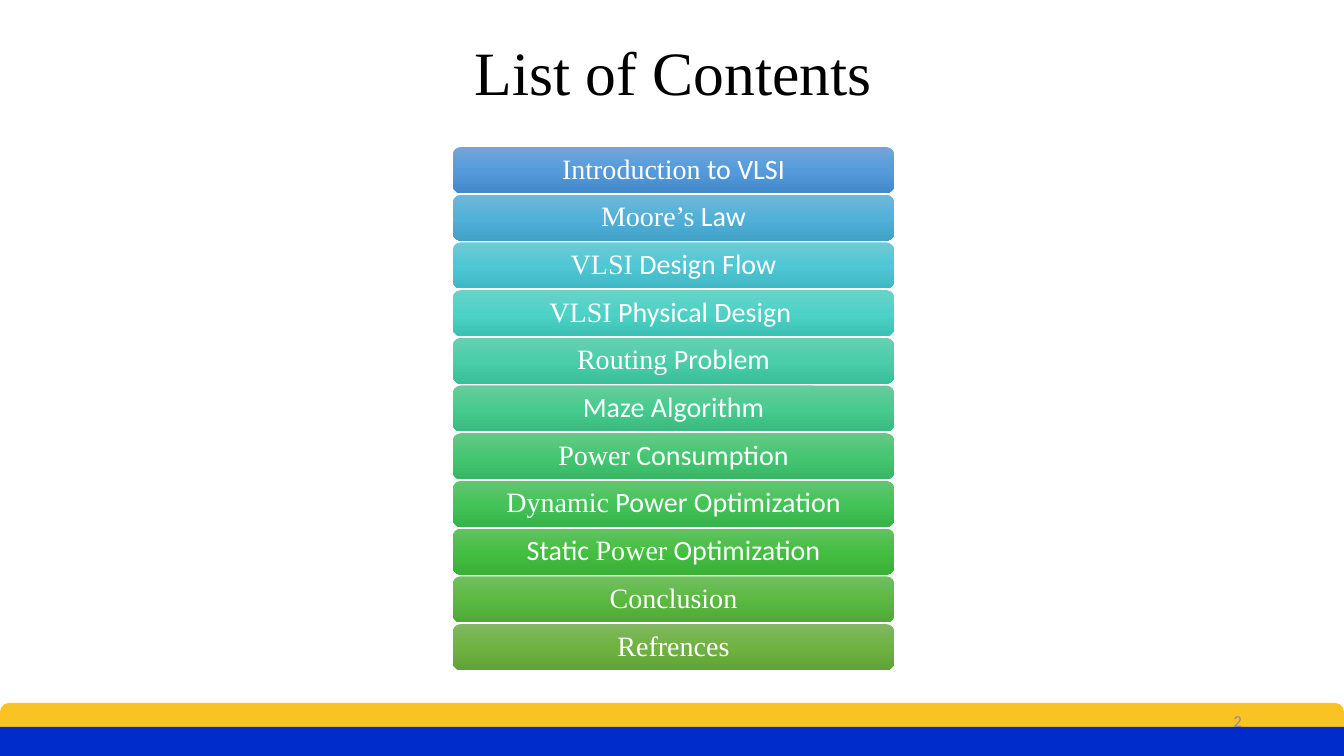
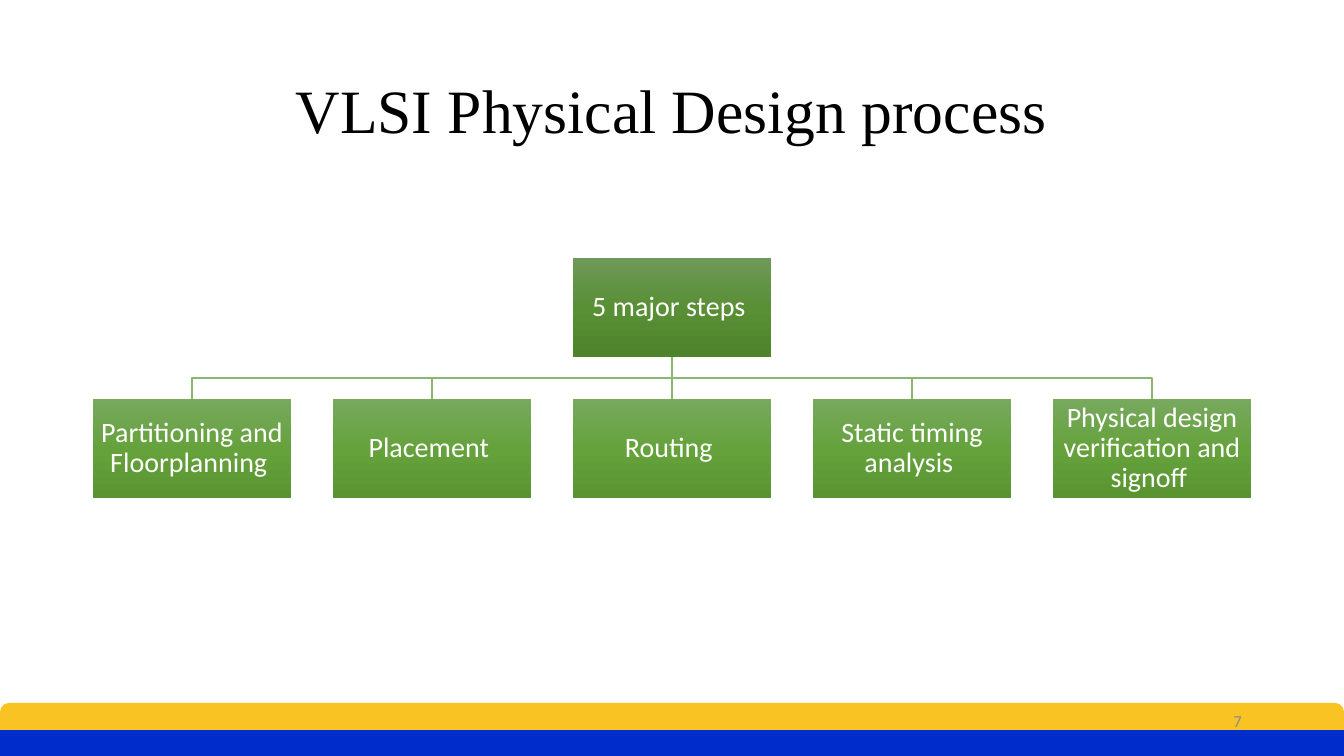
from copy import deepcopy
from itertools import cycle

from pptx import Presentation, util as u
from pptx.dml.color import RGBColor
from pptx.enum import shapes, text
from pptx.oxml import ns, xmlchemy

SCALE = 914400 / 100.8  # EMU in one px
WIDE, HIGH = 1344, 756
SERIF, SANS = "Times New Roman", "Calibri"
BLACK, WHITE, GREY = "000000", "FFFFFF", "8C8C8C"
GOLD, BLUE, LINK = "FAC324", "002CCB", "88B76F"
ROOT = ("6F9959", "598F35", "4E822B")
LEAF = ("78A95E", "65A23C", "599431")
RECT = shapes.MSO_SHAPE.RECTANGLE
ROUND = shapes.MSO_SHAPE.ROUNDED_RECTANGLE
CENTER, RIGHT = text.PP_ALIGN.CENTER, text.PP_ALIGN.RIGHT

# Each label alternates serif and sans runs, starting with serif
TOPICS = [
    (("Introduction", " to VLSI"), ("71A6DB", "559BDB", "448ACA")),
    (("Moore’s", " Law"), ("6FB8D8", "52B1D8", "42A1C7")),
    (("VLSI", " Design Flow"), ("6DCAD5", "4FC7D5", "3FB7C4")),
    (("VLSI", " Physical Design "), ("6BD2C8", "4CD2C6", "3DC1B5")),
    (("Routing", " Problem"), ("69CFB1", "4ACEAA", "3BBE9A")),
    (("", "Maze Algorithm"), ("67CC9A", "47CB8E", "39BB7F")),
    (("Power", " Consumption"), ("66C885", "45C772", "37B764")),
    (("Dynamic", " Power Optimization"), ("64C571", "43C358", "35B449")),
    (("", "Static ", "Power", " Optimization"), ("64C162", "44BF41", "37B034")),
    (("Conclusion",), ("72BE61", "5BB941", "4EA935")),
    (("Refrences",), ("81B861", "6FB242", "62A336")),
]
STEPS = ["Partitioning and Floorplanning ", "Placement ", "Routing ",
         "Static timing analysis ", "Physical design verification and signoff "]


def px(*nums):
    return [u.Emu(round(n * SCALE)) for n in nums]


def rgb(code):
    return RGBColor.from_string(code)


def style(item, look):
    for key, val in look.items():
        setattr(item, key, val)


def write(shape, runs, size, color, align=CENTER, inset=(10, 5), space=0.9):
    """Fill a shape with one paragraph of alternating serif and sans runs."""
    frame = shape.text_frame
    side, edge = px(*inset)
    style(frame, dict(word_wrap=True, auto_size=text.MSO_AUTO_SIZE.NONE,
                      vertical_anchor=text.MSO_ANCHOR.MIDDLE,
                      margin_left=side, margin_right=side,
                      margin_top=edge, margin_bottom=edge))
    para = frame.paragraphs[0]
    style(para, dict(alignment=align, line_spacing=space))
    for words, face in zip(runs, cycle((SERIF, SANS))):
        if words:
            run = para.add_run()
            run.text = words
            style(run.font, dict(name=face, size=u.Pt(size)))
            run.font.color.rgb = rgb(color)


def block(slide, kind, box, fill):
    """Add a borderless shape; fill is one colour or three gradient colours."""
    shape = slide.shapes.add_shape(kind, *px(*box))
    shape.shadow.inherit = False
    shape.line.fill.background()
    if isinstance(fill, str):
        shape.fill.solid()
        shape.fill.fore_color.rgb = rgb(fill)
        return shape
    shape.fill.gradient()
    shape.fill.gradient_angle = 270
    first = shape._element.spPr.find(".//" + ns.qn("a:gs"))
    first.addnext(deepcopy(first))
    for stop, spot, color in zip(shape.fill.gradient_stops, (0, 0.5, 1), fill):
        stop.position = spot
        stop.color.rgb = rgb(color)
    return shape


def branch(slide, x, y, end, foot):
    """Link a root at x, y to a step at end, foot: straight or with an elbow."""
    if x == end:
        path = slide.shapes.add_connector(shapes.MSO_CONNECTOR.STRAIGHT,
                                          *px(x, y, end, foot))
        path._element.spPr.append(xmlchemy.OxmlElement("a:effectLst"))
    else:
        bend = (y + foot) / 2
        pen = slide.shapes.build_freeform(*px(x, y))
        turns = [(x, bend), (end, bend), (end, foot)]
        pen.add_line_segments([px(*turn) for turn in turns], close=False)
        path = pen.convert_to_shape()
        path.fill.background()
        path.shadow.inherit = False
    path.line.color.rgb = rgb(LINK)
    path.line.width = u.Pt(1)


def start(deck, title, left, top):
    """Add a slide with its title."""
    slide = deck.slides.add_slide(deck.slide_layouts[5])
    head = slide.shapes.title
    style(head, dict(zip(("left", "top", "width", "height"),
                         px(left, top, 1159, 146))))
    write(head, (title,), 44, BLACK)
    return slide


def footer(slide, number, top):
    """Add the two bands and the page number; top is that of the blue band."""
    block(slide, ROUND, (0, 703, WIDE, 53), GOLD)
    block(slide, RECT, (0, top, WIDE, HIGH - top), BLUE)
    page = slide.shapes.add_textbox(*px(950, 701, 302, 40))
    write(page, ("", str(number)), 12, GREY, RIGHT, space=1)


def stack(slide, box, high=46):
    """Spread the topic bars evenly down the box."""
    left, top, wide, tall = box
    pitch = (tall - high) / (len(TOPICS) - 1)
    for row, (runs, fill) in enumerate(TOPICS):
        bar = block(slide, ROUND, (left, top + row * pitch, wide, high), fill)
        write(bar, runs, 20, WHITE, inset=(10, 6))


def tree(slide, box, wide=198, high=99):
    """Set the root at the top centre of the box and the steps at its foot."""
    left, top, span, tall = box
    pitch = (span - wide) / (len(STEPS) - 1)
    half = wide / 2
    mid, base = left + span / 2, top + tall - high
    spots = [left + col * pitch for col in range(len(STEPS))]

    # Branch lines
    for spot in reversed(spots):
        branch(slide, mid, top + high, spot + half, base)

    # Boxes
    nodes = [("5 major steps ", mid - half, top, ROOT)]
    nodes += [(step, spot, base, LEAF) for step, spot in zip(STEPS, spots)]
    for label, x, y, fill in nodes:
        node = block(slide, RECT, (x, y, wide, high), fill)
        write(node, ("", label), 20, WHITE, inset=(1, 1))


def main():
    deck = Presentation()
    deck.slide_width, deck.slide_height = px(WIDE, HIGH)

    slide = start(deck, "List of Contents", 94, 3)
    stack(slide, (453, 147, 441, 523))
    footer(slide, 2, 727)

    slide = start(deck, "VLSI Physical Design process", 92, 41)
    tree(slide, (93, 258, 1158, 240))
    footer(slide, 7, 730)

    deck.save("out.pptx")


if __name__ == "__main__":
    main()
